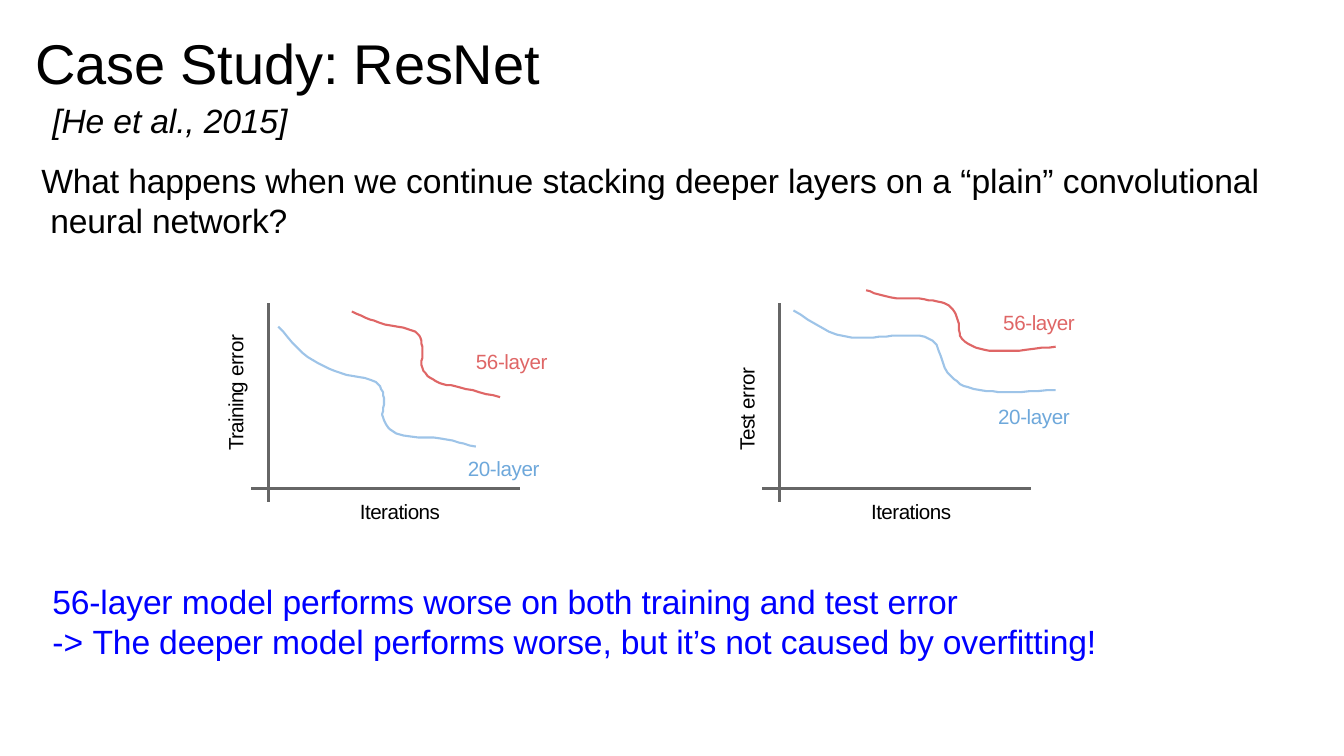
from math import dist
from lxml.etree import SubElement
from pptx import Presentation
from pptx.dml.color import RGBColor as Rgb
from pptx.enum.shapes import MSO_CONNECTOR as Link
from pptx.enum.text import MSO_ANCHOR as Anchor, MSO_AUTO_SIZE as Fit, PP_ALIGN as Align
from pptx.oxml.ns import qn
from pptx.util import Pt

PX = 9144  # EMU per px, 100 px to the inch
STEPS = 6  # strokes between two knots of a curve
FONT = "Arial"
HUES = {"ink": "000000", "blue": "0000FF", "axis": "666666",
        "red": "DF6666", "sky": "9EC4E8", "label": "6EA8DB"}

# Content: a paragraph is a list of (text, letter spacing in points)
TITLE = [("Case Study: ResNet", -0.1)]
CITE = [("[He et al., 2015]", -0.1)]
ASK = [("What happens when we ", -0.1), ("continue stacking ", 0),
       ("deeper layers on ", -0.1), ("a “plain” convolutional ", 0),
       ("neural network?", -0.1)]
FINDING = [("56-layer ", -0.1), ("model ", 0),
           ("performs worse on both training and test error", -0.1)]
REASON = [("-> ", 0), ("The deeper ", -0.1), ("model ", 0),
          ("performs worse, but it’s not ", -0.1), ("caused ", 0),
          ("by overfitting!", -0.1)]

# Plots: left edge, upright axis name with its length, labels, knots of the curves
PLOTS = [
    {"left": 249, "name": [("Training ", -0.5), ("error", -0.3)], "span": 120,
     "labels": [("56-layer", "red", 470, 342), ("20-layer", "label", 462, 448)],
     "curves": [
         ("sky", [(276, 324), (305, 354), (338, 370), (373, 379), (381, 395),
                  (380, 414), (393, 430), (437, 435), (472, 443)]),
         ("red", [(349, 309), (376, 320), (412, 329), (419, 344), (419, 365),
                  (432, 378), (455, 384), (496, 394)])]},
    {"left": 756, "name": [("Test ", -0.4), ("error", -0.3)], "span": 88,
     "labels": [("56-layer", "red", 993, 303), ("20-layer", "label", 988, 397)],
     "curves": [
         ("sky", [(787, 308), (830, 332), (860, 335), (897, 333), (925, 338),
                  (940, 370), (960, 384), (996, 389), (1047, 387)]),
         ("red", [(859, 288), (883, 295), (917, 297), (941, 303), (950, 318),
                  (954, 336), (976, 347), (1004, 348), (1047, 344)])]},
]

# Text formats
BODY = {"size": Pt(24), "name": FONT}
SMALL = {"size": Pt(14.7), "name": FONT}
HEAD = {"size": Pt(40), "name": FONT}
NOTE = {"size": Pt(24), "name": FONT, "italic": True}

deck = Presentation()
deck.slide_width, deck.slide_height = 1333 * PX, 750 * PX
slide = deck.slides.add_slide(deck.slide_layouts[5])
shapes = slide.shapes


def paint(color, hue):
    color.rgb = Rgb.from_string(HUES[hue])


def write(para, runs, style, hue="ink", left=2, hang=0, **form):
    props = para._p.get_or_add_pPr()
    props.set("marL", str(left * PX))
    props.set("indent", str(-hang * PX))
    for key, value in form.items():
        setattr(para, key, value)
    for text, gap in runs:
        run = para.add_run()
        run.text = text
        for key, value in style.items():
            setattr(run.font, key, value)
        paint(run.font.color, hue)
        run._r.get_or_add_rPr().set("spc", str(round(gap * 100)))


def frame(shape, top):
    body = shape.text_frame
    form = {"word_wrap": True, "auto_size": Fit.NONE, "vertical_anchor": Anchor.TOP,
            "margin_left": 0, "margin_right": 0, "margin_bottom": 0,
            "margin_top": top * PX}
    for key, value in form.items():
        setattr(body, key, value)
    return body


def box(x, y, w, h, top=4):
    return frame(shapes.add_textbox(x * PX, y * PX, w * PX, h * PX), top)


def axis(x1, y1, x2, y2):
    line = shapes.add_connector(Link.STRAIGHT, x1 * PX, y1 * PX, x2 * PX, y2 * PX)
    paint(line.line.color, "axis")
    line.line.width = Pt(2.25)
    SubElement(line._element.spPr, qn("a:effectLst"))


def smooth(knots):
    """Points of a Hermite curve; each slope follows the neighbouring knots."""
    ends = [knots[0], *knots, knots[-1]]
    slopes = [[(b - a) / dist(p, q) for a, b in zip(p, q)]
              for p, q in zip(ends, ends[2:])]
    points = [knots[0]]
    for p, q, u, v in zip(knots, knots[1:], slopes, slopes[1:]):
        size = dist(p, q)
        for step in range(1, STEPS + 1):
            t = step / STEPS
            ease = t * t * (3 - 2 * t)
            out, back = size * t * (1 - t) ** 2, size * t * t * (1 - t)
            points.append([a + (b - a) * ease + m * out - n * back
                           for a, b, m, n in zip(p, q, u, v)])
    return points


def curve(hue, knots):
    points = smooth(knots)
    pen = shapes.build_freeform(*points[0], scale=PX)
    pen.add_line_segments(points[1:], close=False)
    shape = pen.convert_to_shape()
    shape.shadow.inherit = False
    shape.fill.background()
    paint(shape.line.color, hue)
    shape.line.width = Pt(1.5)


# Title and citation
title = shapes.title
title.left, title.top, title.width, title.height = (n * PX for n in (33, 11, 506, 123))
body = frame(title, 17)
write(body.paragraphs[0], TITLE, HEAD, alignment=Align.LEFT, space_before=Pt(0))
write(body.add_paragraph(), CITE, NOTE, left=19, alignment=Align.LEFT, space_before=Pt(3.1))

# Question and conclusion
write(box(39, 154, 1217, 83).paragraphs[0], ASK, BODY, left=11, hang=9, line_spacing=1.01)
body = box(50, 572, 1047, 83)
write(body.paragraphs[0], FINDING, BODY, "blue")
write(body.add_paragraph(), REASON, BODY, "blue", space_before=Pt(0.2))

# Plots
for plot in PLOTS:
    left, span = plot["left"], plot["span"]
    axis(left + 17, 301, left + 17, 498)
    axis(left, 485, left + 267, 485)
    for hue, knots in plot["curves"]:
        curve(hue, knots)
    body = box(left - 28, 449 - span, 25, span, 0)
    body._txBody.bodyPr.set("vert", "vert270")
    write(body.paragraphs[0], plot["name"], SMALL)
    write(box(left + 106, 491, 84, 27).paragraphs[0], [("Iterations", -0.4)], SMALL)
    for text, hue, x, y in plot["labels"]:
        write(box(x, y, 75, 27).paragraphs[0], [(text, -0.3)], SMALL, hue)

deck.save("out.pptx")
